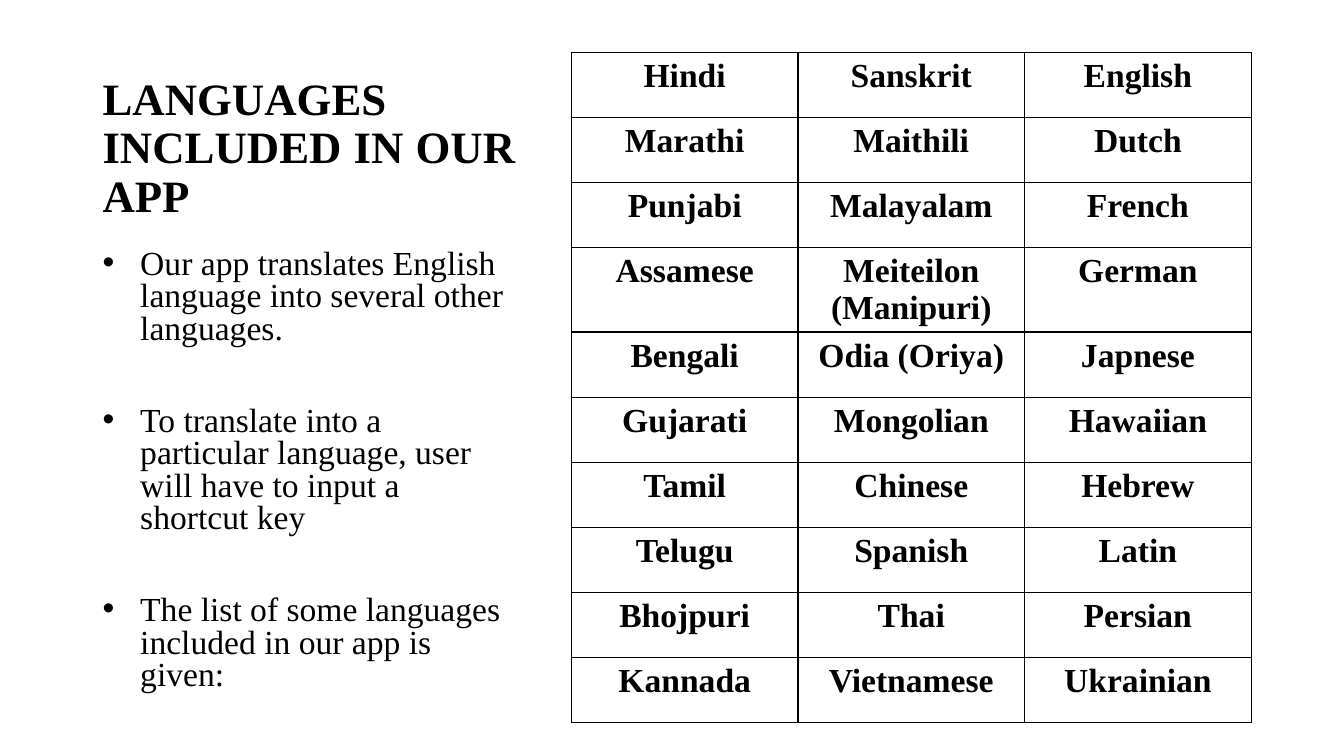
from lxml.etree import SubElement
from pptx import Presentation
from pptx.dml.color import RGBColor
from pptx.enum.text import MSO_ANCHOR, MSO_AUTO_SIZE, PP_ALIGN
from pptx.oxml.ns import qn
from pptx.util import Cm, Pt

TITLE = "LANGUAGES INCLUDED IN OUR APP"
POINTS = [
    "Our app translates English language into several other languages.",
    "To translate into a particular language, user will have to input a shortcut key",
    "The list of some languages included in our app is given:",
]
LANGUAGES = [
    ("Hindi", "Sanskrit", "English"),
    ("Marathi", "Maithili", "Dutch"),
    ("Punjabi", "Malayalam", "French"),
    ("Assamese", "Meiteilon (Manipuri)", "German"),
    ("Bengali", "Odia (Oriya)", "Japnese"),
    ("Gujarati", "Mongolian", "Hawaiian"),
    ("Tamil", "Chinese", "Hebrew"),
    ("Telugu", "Spanish", "Latin"),
    ("Bhojpuri", "Thai", "Persian"),
    ("Kannada", "Vietnamese", "Ukrainian"),
]
COLOURS = {"ink": "000000", "paper": "FFFFFF"}
FONT = "Times New Roman"
COLUMN_WIDTH, ROW_HEIGHT = Cm(5.71), Cm(1.64)
BULLET_INDENT = Cm(0.95)

TITLE_PLACE = {"left": Cm(2.33), "top": Cm(1.32), "width": Cm(10.92), "height": Cm(4.4)}
BODY_PLACE = {"left": Cm(2.33), "top": Cm(6.17), "width": Cm(10.92), "height": Cm(11.56)}
TITLE_FRAME = {"vertical_anchor": MSO_ANCHOR.BOTTOM, "auto_size": MSO_AUTO_SIZE.NONE}
BODY_FRAME = {"vertical_anchor": MSO_ANCHOR.TOP, "auto_size": MSO_AUTO_SIZE.NONE}
TITLE_PARA = {"alignment": PP_ALIGN.JUSTIFY, "line_spacing": 0.9}
BODY_PARA = {"alignment": PP_ALIGN.LEFT, "line_spacing": 0.8}
CELL_PARA = {"alignment": PP_ALIGN.CENTER}
TITLE_FONT = {"size": Pt(32), "bold": True}
BODY_FONT = {"size": Pt(24), "bold": False}
CELL_FONT = {"size": Pt(24), "bold": True}


def assign(target, values):
    for name, value in values.items():
        setattr(target, name, value)


def write(para, text, para_format, font_format):
    assign(para, para_format)
    span = para.add_run()
    span.text = text
    assign(span.font, {"name": FONT, **font_format})
    span.font.color.rgb = RGBColor.from_string(COLOURS["ink"])


def add_borders(cell):
    properties = cell._tc.get_or_add_tcPr()
    for position, side in enumerate(("lnL", "lnR", "lnT", "lnB")):
        line = properties.makeelement(qn(f"a:{side}"), {"w": str(Pt(1))})
        properties.insert(position, line)
        fill = SubElement(line, qn("a:solidFill"))
        SubElement(fill, qn("a:srgbClr"), val=COLOURS["ink"])


def fill_title(box):
    assign(box, TITLE_PLACE)
    assign(box.text_frame, TITLE_FRAME)
    write(box.text_frame.paragraphs[0], TITLE, TITLE_PARA, TITLE_FONT)


def fill_points(box):
    assign(box, BODY_PLACE)
    frame = box.text_frame
    assign(frame, BODY_FRAME)
    for number, text in enumerate(POINTS):
        para = frame.add_paragraph() if number else frame.paragraphs[0]
        write(para, text, BODY_PARA, BODY_FONT)
        para.space_before = Pt(43 if number else 10)
        properties = para._p.get_or_add_pPr()
        properties.set("marL", str(BULLET_INDENT))
        properties.set("indent", str(-BULLET_INDENT))


def add_language_table(page):
    rows, columns = len(LANGUAGES), len(LANGUAGES[0])
    table = page.shapes.add_table(
        rows, columns, Cm(14.4), Cm(1.32), COLUMN_WIDTH * columns, ROW_HEIGHT * rows
    ).table
    assign(table, {"first_row": False, "horz_banding": False})
    for column in table.columns:
        column.width = COLUMN_WIDTH
    for row, names in zip(table.rows, LANGUAGES):
        row.height = ROW_HEIGHT
        for cell, name in zip(row.cells, names):
            cell.fill.solid()
            cell.fill.fore_color.rgb = RGBColor.from_string(COLOURS["paper"])
            add_borders(cell)
            write(cell.text_frame.paragraphs[0], name, CELL_PARA, CELL_FONT)


def main():
    deck = Presentation()
    assign(deck, {"slide_width": Cm(33.87), "slide_height": Cm(19.05)})
    page = deck.slides.add_slide(deck.slide_layouts[1])
    fill_title(page.shapes.title)
    fill_points(page.placeholders[1])
    add_language_table(page)
    deck.save("out.pptx")


if __name__ == "__main__":
    main()
